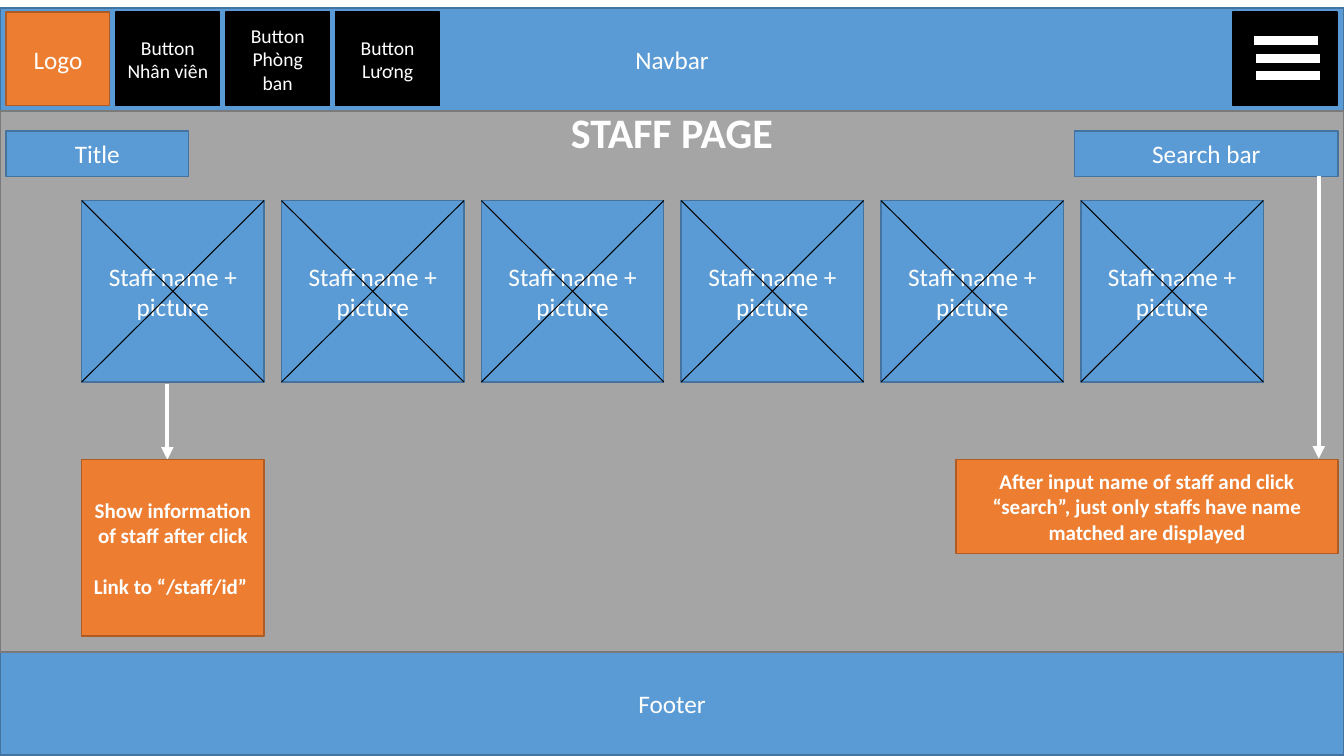
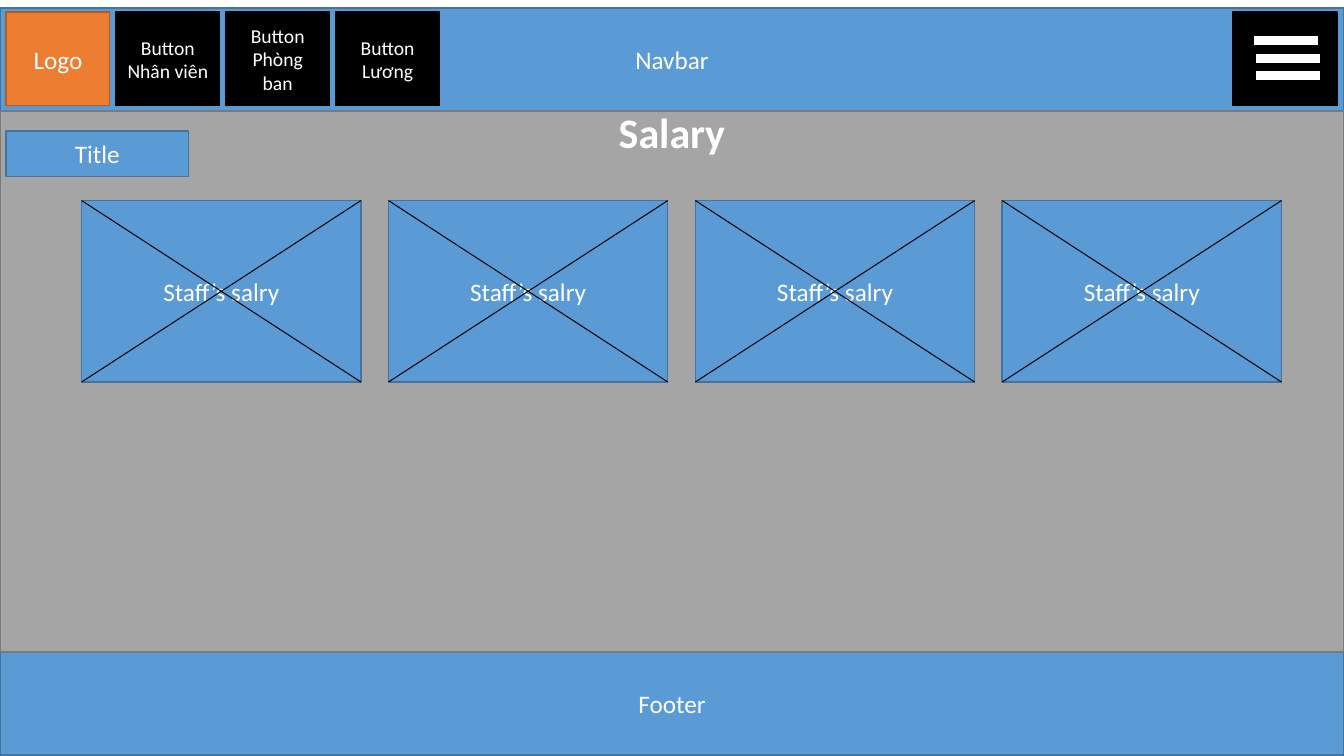
from dataclasses import dataclass

from lxml import etree
from pptx import Presentation
from pptx.dml.color import RGBColor
from pptx.enum.shapes import MSO_CONNECTOR, MSO_SHAPE
from pptx.enum.text import MSO_ANCHOR, MSO_AUTO_SIZE, PP_ALIGN
from pptx.oxml.ns import qn
from pptx.util import Inches, Pt

RECT = MSO_SHAPE.RECTANGLE
LINE = MSO_CONNECTOR.STRAIGHT
CENTER = PP_ALIGN.CENTER
MIDDLE, TOP = MSO_ANCHOR.MIDDLE, MSO_ANCHOR.TOP
FIXED = MSO_AUTO_SIZE.NONE
TITLE_ONLY = 5


@dataclass(frozen=True)
class Theme:
    """Hold the fill and border pairs, line colours and type sizes."""
    blue: tuple = ("5B9BD5", "43739E")
    orange: tuple = ("ED7D31", "AF5C24")
    black: tuple = ("000000", "000000")
    grey: tuple = ("A5A5A5", "7A7A7A")
    white: str = "FFFFFF"
    dark: str = "000000"
    font: str = "Calibri"
    head: int = 30
    label: int = 18
    note: int = 15
    button: int = 14


THEME = Theme()


def rgb(code):
    """Turn a hex code into a colour."""
    return RGBColor.from_string(code)


def apply(target, values):
    """Set each named attribute on the target."""
    for name, value in values.items():
        setattr(target, name, value)


def write(shape, lines, size, bold=False, anchor=MIDDLE, gap=0):
    """Fill a shape with centred white paragraphs."""
    frame = shape.text_frame
    frame.text = "\n".join(lines)
    apply(frame, {"word_wrap": True, "auto_size": FIXED, "vertical_anchor": anchor})
    for i, para in enumerate(frame.paragraphs):
        apply(para, {"alignment": CENTER, "space_before": Pt(gap if i else 0)})
        for run in para.runs:
            apply(run.font, {"name": THEME.font, "size": Pt(size), "bold": bold})
            run.font.color.rgb = rgb(THEME.white)


def box(shapes, at, tone, lines=(), size=THEME.label, **style):
    """Add a bordered rectangle with optional text."""
    shape = shapes.add_shape(RECT, *map(Inches, at))
    fill, edge = tone
    shape.shadow.inherit = False
    shape.fill.solid()
    shape.fill.fore_color.rgb = rgb(fill)
    shape.line.color.rgb = rgb(edge)
    shape.line.width = Pt(1)
    if lines:
        write(shape, lines, size, **style)


def rule(shapes, start, end, color, width, arrow=False):
    """Add a straight line, with an arrowhead at its end if asked."""
    line = shapes.add_connector(LINE, *map(Inches, (*start, *end)))
    line.line.color.rgb = rgb(color)
    line.line.width = Pt(width)
    props = line.element.spPr
    if arrow:
        etree.SubElement(props.find(qn("a:ln")), qn("a:tailEnd"), type="triangle")
    etree.SubElement(props, qn("a:effectLst"))


def card(slide, left, width, text):
    """Add a grouped card crossed by its two diagonals."""
    top, height = 1.99, 1.8
    right, base = left + width, top + height
    shapes = slide.shapes.add_group_shape().shapes
    box(shapes, (left, top, width, height), THEME.blue, [text])
    rule(shapes, (left, top), (right, base), THEME.dark, 0.75)
    rule(shapes, (right, top), (left, base), THEME.dark, 0.75)


def cards(slide, count, width, last, text):
    """Spread equal cards from the left margin to the last position."""
    first = 0.81
    step = (last - first) / (count - 1)
    for i in range(count):
        card(slide, first + i * step, width, text)


def menu(shapes):
    """Add the menu button with its three bars."""
    box(shapes, (12.23, 0.12, 1.03, 0.93), THEME.black)
    for left, y in ((12.44, 0.4), (12.46, 0.58), (12.46, 0.75)):
        rule(shapes, (left, y), (left + 0.63, y), THEME.white, 6)


def tabs(shapes):
    """Add the logo block and the navigation buttons."""
    items = (
        (THEME.orange, ["Logo"], THEME.label),
        (THEME.black, ["Button", "Nhân viên"], THEME.button),
        (THEME.black, ["Button", "Phòng ban"], THEME.button),
        (THEME.black, ["Button", "Lương"], THEME.button),
    )
    for i, (tone, lines, size) in enumerate(items):
        box(shapes, (0.06 + i * 1.09, 0.12, 1.03, 0.93), tone, lines, size)


def page(deck, name, left, width):
    """Start a slide with the shared bands, navigation and title."""
    slide = deck.slides.add_slide(deck.slide_layouts[TITLE_ONLY])
    shapes = slide.shapes
    box(shapes, (0, 0.08, 13.33, 1.02), THEME.blue, ["Navbar"])
    menu(shapes)
    box(shapes, (0, 6.47, 13.33, 1.02), THEME.blue, ["Footer"])
    box(shapes, (0, 1.1, 13.33, 5.37), THEME.grey)
    title = shapes.title
    place = {"left": left, "top": 1.01, "width": width, "height": 0.61}
    apply(title, {key: Inches(value) for key, value in place.items()})
    write(title, [name], THEME.head, bold=True, anchor=TOP)
    shapes.element.append(title.element)
    box(shapes, (0.06, 1.3, 1.81, 0.45), THEME.blue, ["Title"])
    tabs(shapes)
    return slide


def staff(deck):
    """Build the staff page with its search and click notes."""
    slide = page(deck, "STAFF PAGE", 5.36, 2.61)
    shapes = slide.shapes
    box(shapes, (10.66, 1.3, 2.61, 0.45), THEME.blue, ["Search bar"])
    cards(slide, 6, 1.81, 10.72, "Staff name + picture")
    rule(shapes, (13.08, 1.75), (13.08, 4.55), THEME.white, 3, arrow=True)
    found = ("After input name of staff and click “search”, "
             "just only staffs have name matched are displayed")
    box(shapes, (9.48, 4.56, 3.79, 0.93), THEME.orange, [found],
        THEME.note, bold=True)
    rule(shapes, (1.66, 3.81), (1.66, 4.56), THEME.white, 3, arrow=True)
    click = ["Show information of staff after click", "Link to “/staff/id” "]
    box(shapes, (0.81, 4.56, 1.81, 1.75), THEME.orange, click,
        THEME.note, bold=True, gap=18)


def salary(deck):
    """Build the salary page."""
    slide = page(deck, "Salary", 4.47, 4.39)
    cards(slide, 4, 2.77, 9.94, "Staff’s salry")


def main():
    """Build and save the deck."""
    deck = Presentation()
    apply(deck, {"slide_width": Inches(13.33), "slide_height": Inches(7.5)})
    staff(deck)
    salary(deck)
    deck.save("out.pptx")


main()
